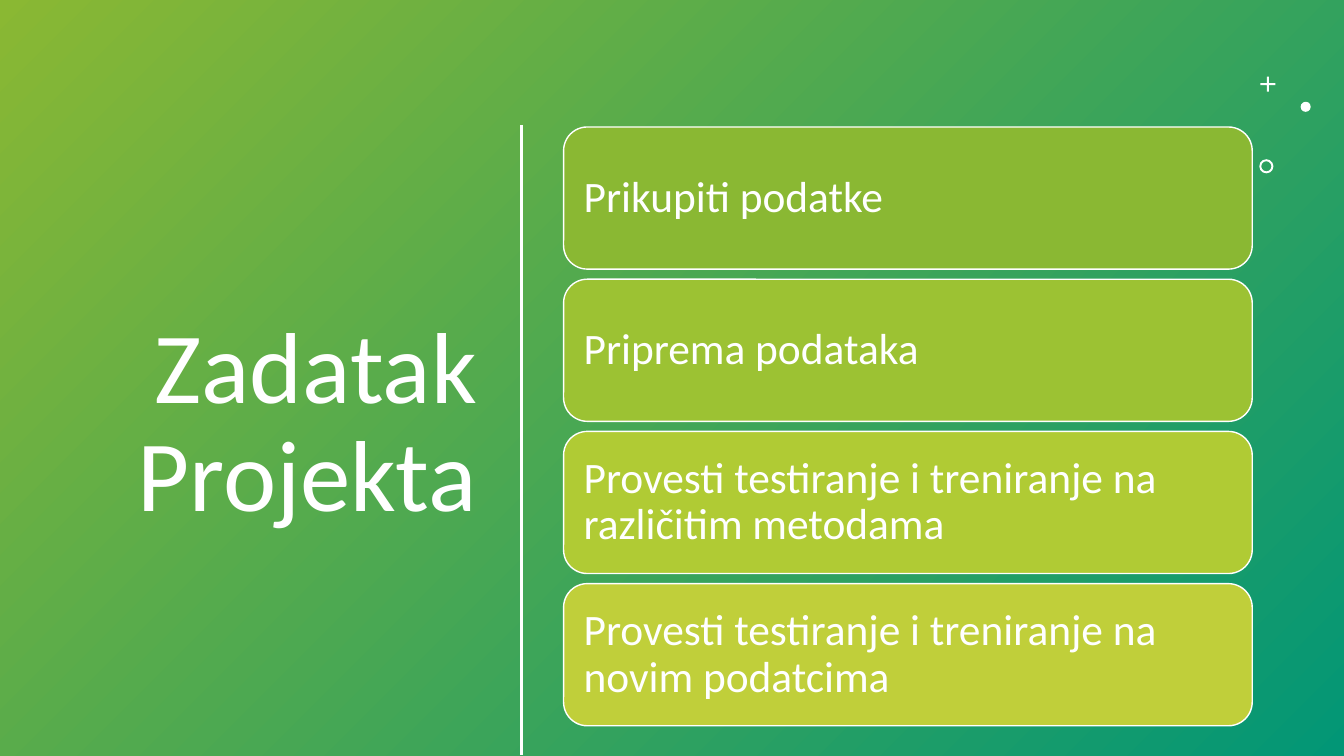
from lxml import etree
from pptx import Presentation
from pptx.dml.color import RGBColor
from pptx.enum.shapes import MSO_CONNECTOR, MSO_SHAPE
from pptx.enum.text import MSO_ANCHOR, MSO_AUTO_SIZE, PP_ALIGN
from pptx.oxml.ns import qn
from pptx.util import Inches, Pt

RECT, ROUND = MSO_SHAPE.RECTANGLE, MSO_SHAPE.ROUNDED_RECTANGLE
CROSS, OVAL, DONUT = MSO_SHAPE.CROSS, MSO_SHAPE.OVAL, MSO_SHAPE.DONUT
LEFT, RIGHT = PP_ALIGN.LEFT, PP_ALIGN.RIGHT

FONT, WHITE = "Calibri", "FFFFFF"
WIDE, HIGH = 13.33, 7.5
TITLE = "Zadatak Projekta"
SHADES = ["8AB833", "029676"]
TASKS = [
    ("Prikupiti podatke", "8AB833"),
    ("Priprema podataka", "9CC233"),
    ("Provesti testiranje i treniranje na različitim metodama", "B0CB34"),
    ("Provesti testiranje i treniranje na novim podatcima", "C0CF3A"),
]
MARKS = [
    (CROSS, 12.5, 0.76, 0.15, 0.43),
    (OVAL, 12.9, 1.01, 0.1, None),
    (DONUT, 12.49, 1.58, 0.14, 0.14),
]
CARD_X, CARD_Y, CARD_W, CARD_H, STEP = 5.59, 1.26, 6.83, 1.41, 1.51


def color(code):
    return RGBColor.from_string(code)


def add_form(slide, kind, x, y, w, h, fill=None, line=None):
    form = slide.shapes.add_shape(kind, Inches(x), Inches(y), Inches(w), Inches(h))
    form.shadow.inherit = False
    if fill:
        form.fill.solid()
        form.fill.fore_color.rgb = color(fill)
    if line:
        form.line.color.rgb = color(line)
        form.line.width = Pt(1)
    else:
        form.line.fill.background()
    return form


def write(frame, text, size, align):
    frame.word_wrap = True
    frame.auto_size = MSO_AUTO_SIZE.NONE
    frame.vertical_anchor = MSO_ANCHOR.MIDDLE
    para = frame.paragraphs[0]
    para.alignment = align
    para.line_spacing = 0.9
    run = para.add_run()
    run.text = text
    run.font.name = FONT
    run.font.size = Pt(size)
    run.font.color.rgb = color(WHITE)


def add_back(slide):
    back = add_form(slide, RECT, 0, 0, WIDE, HIGH)
    back.fill.gradient()
    back.fill.gradient_angle = 315
    for stop, shade in zip(back.fill.gradient_stops, SHADES):
        stop.color.rgb = color(shade)
    slide.shapes.title.element.addprevious(back.element)


def add_title(slide):
    title = slide.shapes.title
    title.left, title.top = Inches(0.52), Inches(1.16)
    title.width, title.height = Inches(4.31), Inches(6.11)
    write(title.text_frame, TITLE, 72, RIGHT)


def add_rule(slide):
    x = Inches(5.17)
    rule = slide.shapes.add_connector(
        MSO_CONNECTOR.STRAIGHT, x, Inches(1.24), x, Inches(7.49))
    rule.line.color.rgb = color(WHITE)
    rule.line.width = Pt(2)
    etree.SubElement(rule.element.spPr, qn("a:effectLst"))


def add_marks(slide):
    for kind, x, y, size, adjust in MARKS:
        mark = add_form(slide, kind, x, y, size, size, WHITE)
        if adjust:
            mark.adjustments[0] = adjust


def add_cards(slide):
    for i, (text, fill) in enumerate(TASKS):
        card = add_form(slide, ROUND, CARD_X, CARD_Y + i * STEP,
                        CARD_W, CARD_H, fill, WHITE)
        frame = card.text_frame
        frame.margin_left = frame.margin_right = Inches(0.13)
        frame.margin_top = frame.margin_bottom = Inches(0.13)
        write(frame, text, 31, LEFT)


def main():
    deck = Presentation()
    deck.slide_width, deck.slide_height = Inches(WIDE), Inches(HIGH)
    slide = deck.slides.add_slide(deck.slide_layouts[5])
    add_back(slide)
    add_title(slide)
    add_rule(slide)
    add_marks(slide)
    add_cards(slide)
    deck.save("out.pptx")


if __name__ == "__main__":
    main()
